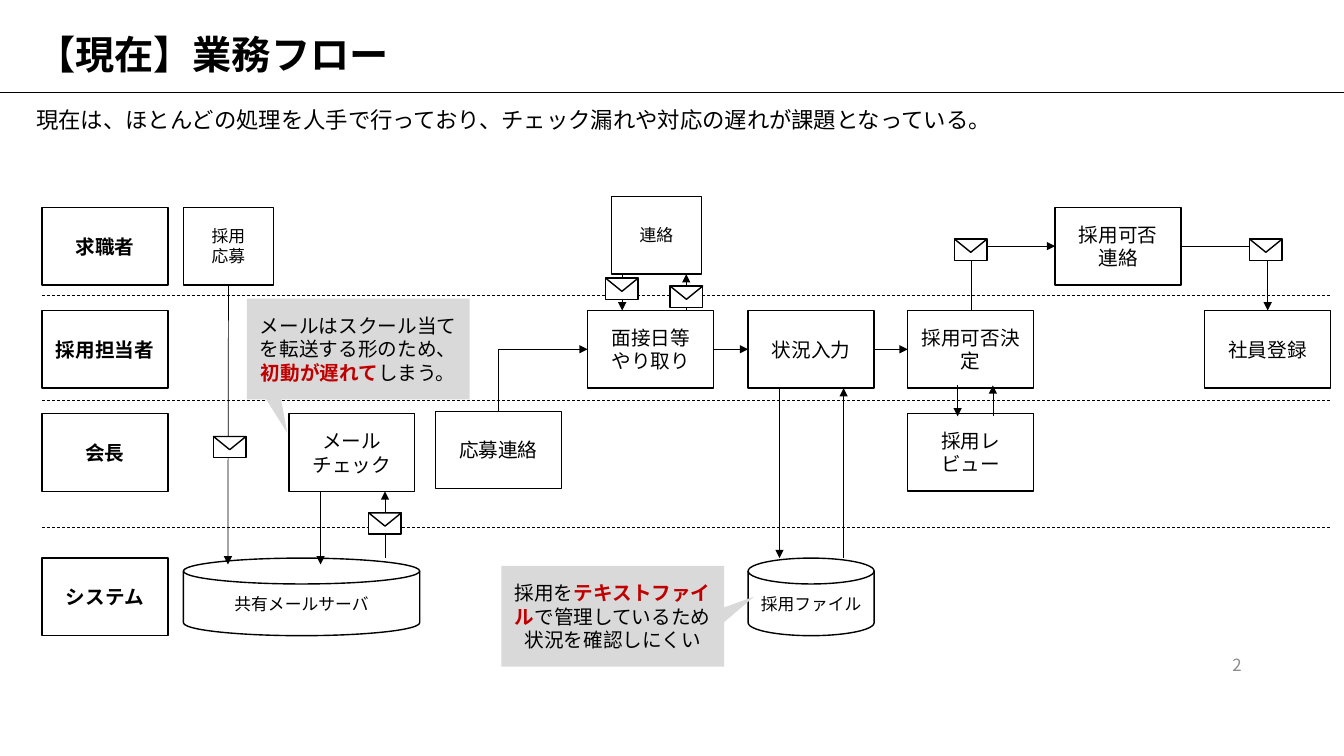
"""Builds the slide showing the current recruiting workflow as swim lanes."""
from lxml.etree import SubElement
from pptx import Presentation
from pptx.dml.color import RGBColor
from pptx.enum.dml import MSO_LINE
from pptx.enum.shapes import MSO_CONNECTOR as LINK, MSO_SHAPE as SHAPE
from pptx.enum.text import MSO_ANCHOR as ANCHOR, PP_ALIGN as ALIGN
from pptx.oxml.ns import qn
from pptx.util import Pt

BLACK = RGBColor(0, 0, 0)
WHITE = RGBColor(255, 255, 255)
GREY = RGBColor(0xD9, 0xD9, 0xD9)
NUMBER_GREY = RGBColor(0x8C, 0x8C, 0x8C)
RED = RGBColor(0xC0, 0, 0)
FONT = "Noto Sans CJK JP"


def write_text(frame, text, size, bold=False, color=BLACK, align=ALIGN.CENTER, **layout):
    """Writes one paragraph per line; text between asterisks is red and bold."""
    for name, value in {"word_wrap": True, "vertical_anchor": ANCHOR.MIDDLE, **layout}.items():
        setattr(frame, name, value)
    for number, line in enumerate(text.split("\n")):
        para = frame.paragraphs[0] if number == 0 else frame.add_paragraph()
        para.alignment = align
        for position, part in enumerate(line.split("*")):
            if not part:
                continue
            marked = position % 2 == 1
            span = para.add_run()
            span.text = part
            for name, value in {"size": Pt(size), "bold": bold or marked, "name": FONT}.items():
                setattr(span.font, name, value)
            span.font.color.rgb = RED if marked else color
            SubElement(span.font._element, qn("a:ea"), typeface=FONT)


def paint(shape, fill, outline=None):
    """Gives a shape a flat fill and, if asked, a one-point outline."""
    shape.shadow.inherit = False
    shape.fill.solid()
    shape.fill.fore_color.rgb = fill
    if outline is None:
        shape.line.fill.background()
    else:
        shape.line.color.rgb = outline
        shape.line.width = Pt(1)


deck = Presentation()
deck.slide_width, deck.slide_height = Pt(960), Pt(540)
page = deck.slides.add_slide(deck.slide_layouts[1])
shapes = page.shapes

title, lead = shapes.title, page.placeholders[1]
for holder, top, height in ((title, 15.1, 50.4), (lead, 74.2, 27.4)):
    holder.left, holder.top, holder.width, holder.height = Pt(18.7), Pt(top), Pt(913.7), Pt(height)
write_text(title.text_frame, "【現在】業務フロー", 28, bold=True, align=ALIGN.LEFT)
write_text(lead.text_frame,
           "現在は、ほとんどの処理を人手で行っており、チェック漏れや対応の遅れが課題となっている。",
           16, align=ALIGN.LEFT, vertical_anchor=ANCHOR.TOP)
title.text_frame.paragraphs[0].line_spacing = 0.9
lead_para = lead.text_frame.paragraphs[0]
lead_para.line_spacing, lead_para.space_before = 0.9, Pt(10)
lead_format = lead_para._p.get_or_add_pPr()
lead_format.set("marL", "0")
lead_format.set("indent", "0")
SubElement(lead_format, qn("a:buNone"))

page_number = shapes.add_textbox(Pt(678), Pt(460.8), Pt(216), Pt(28.8))
write_text(page_number.text_frame, "2", 12, color=NUMBER_GREY, align=ALIGN.RIGHT)

rules = [shapes.add_connector(LINK.STRAIGHT, Pt(0), Pt(66.2), Pt(960), Pt(66.2))]
for y in (211, 286, 376.4):
    rule = shapes.add_connector(LINK.STRAIGHT, Pt(30), Pt(y), Pt(950.5), Pt(y))
    rule.line.dash_style = MSO_LINE.DASH
    rules.append(rule)

APPLICANT, RECRUITER, CHAIRMAN, SYSTEM = 148.2, 221.8, 295.6, 398.7
WIDTH, HEIGHT, SMALL = 90, 55.4, 64.2
LANES = {"求職者": APPLICANT, "採用担当者": RECRUITER, "会長": CHAIRMAN, "システム": SYSTEM}
for name, top in LANES.items():
    box = shapes.add_shape(SHAPE.RECTANGLE, Pt(30), Pt(top), Pt(WIDTH), Pt(HEIGHT))
    paint(box, WHITE, BLACK)
    write_text(box.text_frame, name, 14, bold=True)

STEPS = [
    ("メールチェック", 206.3, CHAIRMAN),
    ("応募連絡", 311, 293.8),
    ("面接日等\nやり取り", 419.8, RECRUITER),
    ("状況入力", 534.4, RECRUITER),
    ("採用可否決定", 648.4, RECRUITER),
    ("採用レビュー", 648.4, 295.4),
    ("採用可否\n連絡", 753.7, APPLICANT),
    ("社員登録", 860.4, RECRUITER),
]
for name, left, top in STEPS:
    box = shapes.add_shape(SHAPE.RECTANGLE, Pt(left), Pt(top), Pt(WIDTH), Pt(HEIGHT))
    paint(box, WHITE, BLACK)
    write_text(box.text_frame, name, 14)

SMALL_STEPS = [
    (SHAPE.RECTANGLE, "採用\n応募", 131, APPLICANT, SMALL),
    (SHAPE.RECTANGLE, "連絡", 436.8, 140.4, SMALL),
    (SHAPE.FLOWCHART_MAGNETIC_DISK, "共有メールサーバ", 131, SYSTEM, 168.8),
    (SHAPE.FLOWCHART_MAGNETIC_DISK, "採用ファイル", 534.4, SYSTEM, WIDTH),
]
for kind, name, left, top, width in SMALL_STEPS:
    box = shapes.add_shape(kind, Pt(left), Pt(top), Pt(width), Pt(HEIGHT))
    paint(box, WHITE, BLACK)
    write_text(box.text_frame, name, 12, word_wrap=False)

CALLOUTS = [
    ("メールはスクール当て\nを転送する形のため、\n*初動が遅れて*しまう。", 176.3, 213.3,
     [(199.4, 278), (205.2, 309.2), (186.5, 279.4)]),
    ("採用を*テキストファイル*で管理しているため\n状況を確認しにくい", 358.1, 404.2,
     [(510.5, 436.3), (538.6, 426.2), (514.1, 447.1)]),
]
for text, left, top, corners in CALLOUTS:
    box = shapes.add_shape(SHAPE.RECTANGLE, Pt(left), Pt(top), Pt(159.2), Pt(72))
    points = [(Pt(x), Pt(y)) for x, y in corners]
    outline = shapes.build_freeform(*points[0])
    outline.add_line_segments(points[1:], close=True)
    for part in (box, outline.convert_to_shape()):
        paint(part, GREY)
    write_text(box.text_frame, text, 14)

FLOWS = [
    (163.2, 203.6, 162.8, 403.2),
    (229, 351, 229, 403.2),
    (275, 398.7, 275, 351),
    (444.4, 195.8, 444.4, 221.8),
    (490.2, 221.8, 490.2, 195.8),
    (509.8, 249.5, 534.4, 249.5),
    (624.4, 249.5, 648.4, 249.5),
    (556.8, 277.2, 556.8, 398.7),
    (602.6, 398.7, 602.6, 277.2),
    (684, 275.2, 684, 297.4),
    (709.2, 297.4, 709.2, 275.2),
]
arrows = [shapes.add_connector(LINK.STRAIGHT, *map(Pt, ends)) for ends in FLOWS]

BENDS = [
    (356.2, 293.8, 419.8, 249.5),
    (693.6, 221.8, 753.7, 175.8),
    (843.7, 175.8, 905.5, 221.8),
]
for x1, y1, x2, y2 in BENDS:
    rising = y2 < y1
    across, down = (y1 - y2, x2 - x1) if rising else (x2 - x1, y2 - y1)
    left, top = (x1 + x2 - across) / 2, (y1 + y2 - down) / 2
    bend = shapes.add_connector(LINK.ELBOW, Pt(left), Pt(top), Pt(left + across), Pt(top + down))
    bend.element.spPr.find(qn("a:prstGeom")).set("prst", "bentConnector2")
    if rising:
        for name, value in {"rot": "5400000", "flipH": "1", "flipV": "1"}.items():
            bend.element.spPr.find(qn("a:xfrm")).set(name, value)
    arrows.append(bend)

for connector in rules + arrows:
    connector.line.color.rgb = BLACK
    connector.line.width = Pt(0.5)
    SubElement(connector.element.spPr, qn("a:effectLst"))
for arrow in arrows:
    SubElement(arrow.element.spPr.find(qn("a:ln")), qn("a:tailEnd"), type="triangle")

ENVELOPES = [(152.5, 311.8), (263.4, 366.4), (432.6, 198.7), (478.7, 204.4),
             (681.8, 170.8), (892.6, 170.8)]
for left, top in ENVELOPES:
    sheet = shapes.add_shape(SHAPE.RECTANGLE, Pt(left), Pt(top), Pt(23.2), Pt(15.2))
    flap = shapes.add_shape(SHAPE.ISOSCELES_TRIANGLE, Pt(left), Pt(top), Pt(23.2), Pt(9.4))
    flap.rotation = 180
    for part in (sheet, flap):
        paint(part, WHITE, BLACK)

deck.save("out.pptx")
